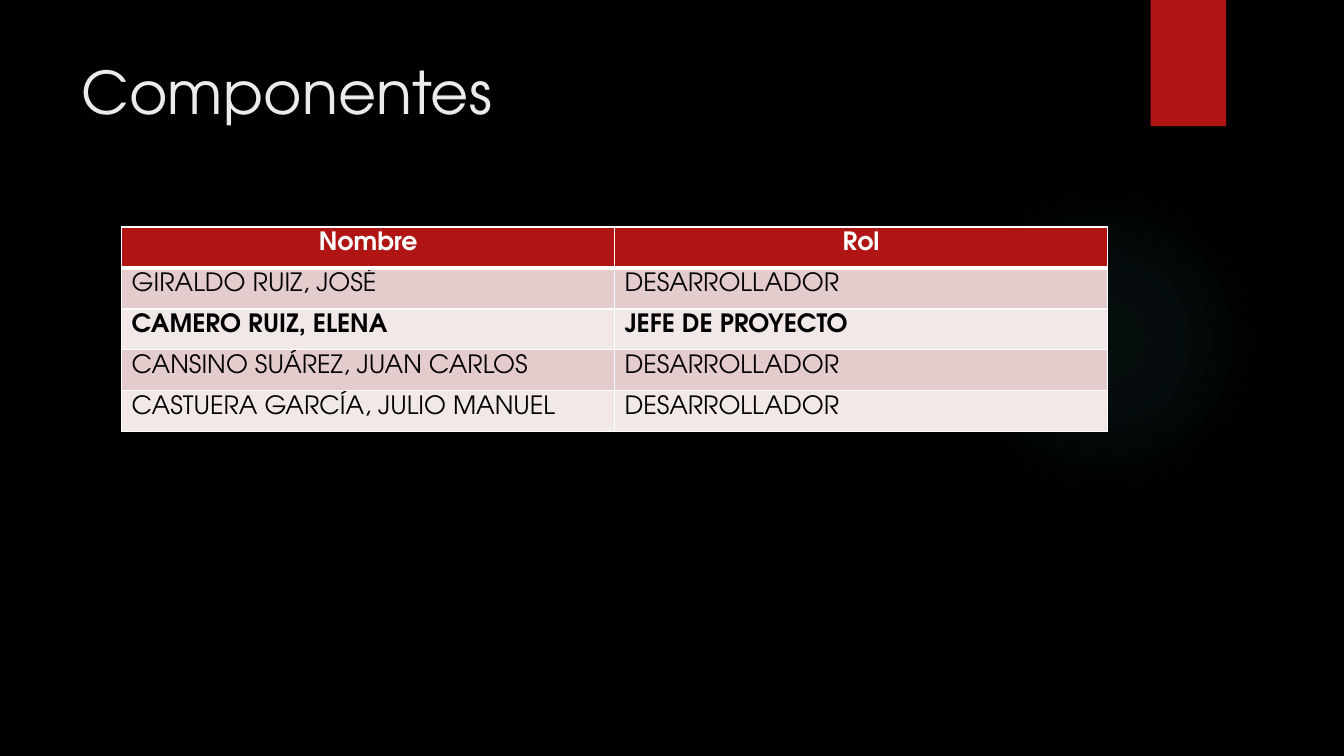
from dataclasses import dataclass

from lxml import etree
from pptx import Presentation
from pptx.dml.color import RGBColor
from pptx.enum.shapes import MSO_SHAPE
from pptx.enum.text import MSO_ANCHOR, PP_ALIGN
from pptx.oxml import parse_xml
from pptx.oxml.ns import nsdecls, qn
from pptx.util import Cm, Pt

OVAL, RECTANGLE = MSO_SHAPE.OVAL, MSO_SHAPE.RECTANGLE
TOP = MSO_ANCHOR.TOP
LEFT, CENTER = PP_ALIGN.LEFT, PP_ALIGN.CENTER
TITLE_ONLY = 5


@dataclass(frozen=True)
class Theme:
    font: str = "TeX Gyre Adventor"
    background: str = "000000"
    title: str = "EBEBEB"
    accent: str = "B01513"
    glow: str = "50B9C1"
    header_text: str = "FFFFFF"
    body_text: str = "000000"
    border: str = "FFFFFF"
    bands: tuple = ("E4CCCC", "F2E8E7")
    title_size: int = 42
    table_size: int = 18


THEME = Theme()

# Table content: name, role
HEADINGS = ("Nombre", "Rol")
LEADER_ROLE = "JEFE DE PROYECTO"
MEMBERS = (
    ("GIRALDO RUIZ, JOSÉ", "DESARROLLADOR"),
    ("CAMERO RUIZ, ELENA", LEADER_ROLE),
    ("CANSINO SUÁREZ, JUAN CARLOS", "DESARROLLADOR"),
    ("CASTUERA GARCÍA, JULIO MANUEL", "DESARROLLADOR"),
)


def rgb(color):
    return RGBColor.from_string(color)


def write(frame, text, size, color, bold=False, align=LEFT):
    paragraph = frame.paragraphs[0]
    paragraph.alignment = align
    run = paragraph.add_run()
    run.text = text
    run.font.name = THEME.font
    run.font.size = Pt(size)
    run.font.bold = bold
    run.font.color.rgb = rgb(color)


def add_plain_shape(slide, kind, box, color):
    shape = slide.shapes.add_shape(kind, *box)
    shape.shadow.inherit = False
    shape.fill.solid()
    shape.fill.fore_color.rgb = rgb(color)
    shape.line.fill.background()
    return shape


def add_glow(slide, box):
    """Soft radial light that fades out towards its edge."""
    glow = add_plain_shape(slide, OVAL, box, THEME.glow)
    stops = "".join(
        f'<a:gs pos="{position * 1000}"><a:srgbClr val="{THEME.glow}">'
        f'<a:alpha val="{opacity * 1000}"/></a:srgbClr></a:gs>'
        for position, opacity in ((0, 7), (36, 6), (69, 0), (100, 0))
    )
    gradient = parse_xml(
        f'<a:gradFill {nsdecls("a")} rotWithShape="1"><a:gsLst>{stops}</a:gsLst>'
        '<a:path path="circle"><a:fillToRect l="50000" t="50000" r="50000" b="50000"/>'
        "</a:path></a:gradFill>"
    )
    properties = glow.fill._xPr
    properties.replace(properties.find(qn("a:solidFill")), gradient)


def add_title(slide, box, text):
    title = slide.shapes.title
    title.left, title.top, title.width, title.height = box
    title.text_frame.word_wrap = True
    title.text_frame.vertical_anchor = TOP
    write(title.text_frame, text, THEME.title_size, THEME.title)


def set_borders(cell, **widths):
    properties = cell._tc.get_or_add_tcPr()
    for index, side in enumerate("LRTB"):
        line = etree.Element(qn(f"a:ln{side}"), w=str(Pt(widths.get(side, 1))))
        fill = etree.SubElement(line, qn("a:solidFill"))
        etree.SubElement(fill, qn("a:srgbClr"), val=THEME.border)
        properties.insert(index, line)


def fill_cell(cell, text, fill, color, **text_format):
    cell.margin_top = cell.margin_bottom = Cm(0.13)
    cell.margin_left = cell.margin_right = Cm(0.25)
    cell.vertical_anchor = TOP
    cell.fill.solid()
    cell.fill.fore_color.rgb = rgb(fill)
    write(cell.text_frame, text, THEME.table_size, color, **text_format)


def add_members_table(slide, box):
    left, top, width, height = box
    row_count, column_count = len(MEMBERS) + 1, len(HEADINGS)
    members = slide.shapes.add_table(
        row_count, column_count, left, top, width, height).table
    for row in members.rows:
        row.height = height // row_count
    for column in members.columns:
        column.width = width // column_count

    # Header row, set off by a thick rule
    for column, heading in enumerate(HEADINGS):
        cell = members.cell(0, column)
        fill_cell(cell, heading, THEME.accent, THEME.header_text,
                  bold=True, align=CENTER)
        set_borders(cell, B=3)

    # Banded member rows, with the leader in bold
    for row, member in enumerate(MEMBERS, start=1):
        band = THEME.bands[(row - 1) % len(THEME.bands)]
        for column, text in enumerate(member):
            cell = members.cell(row, column)
            fill_cell(cell, text, band, THEME.body_text,
                      bold=member[1] == LEADER_ROLE)
            set_borders(cell, T=3 if row == 1 else 1)


def build_components_slide(deck):
    slide = deck.slides.add_slide(deck.slide_layouts[TITLE_ONLY])
    slide.background.fill.solid()
    slide.background.fill.fore_color.rgb = rgb(THEME.background)

    # Decoration
    add_glow(slide, (Cm(23.9), Cm(4.65), Cm(7.82), Cm(7.82)))
    add_plain_shape(slide, RECTANGLE,
                    (Cm(29), 0, Cm(1.9), Cm(3.18)), THEME.accent)

    # Content
    add_title(slide, (Cm(1.8), Cm(1.27), Cm(26.14), Cm(3.89)), "Componentes")
    add_members_table(slide, (Cm(3.07), Cm(5.72), Cm(24.84), Cm(5.16)))


def main():
    deck = Presentation()
    deck.slide_width, deck.slide_height = Cm(33.87), Cm(19.05)
    build_components_slide(deck)
    deck.save("out.pptx")


if __name__ == "__main__":
    main()
